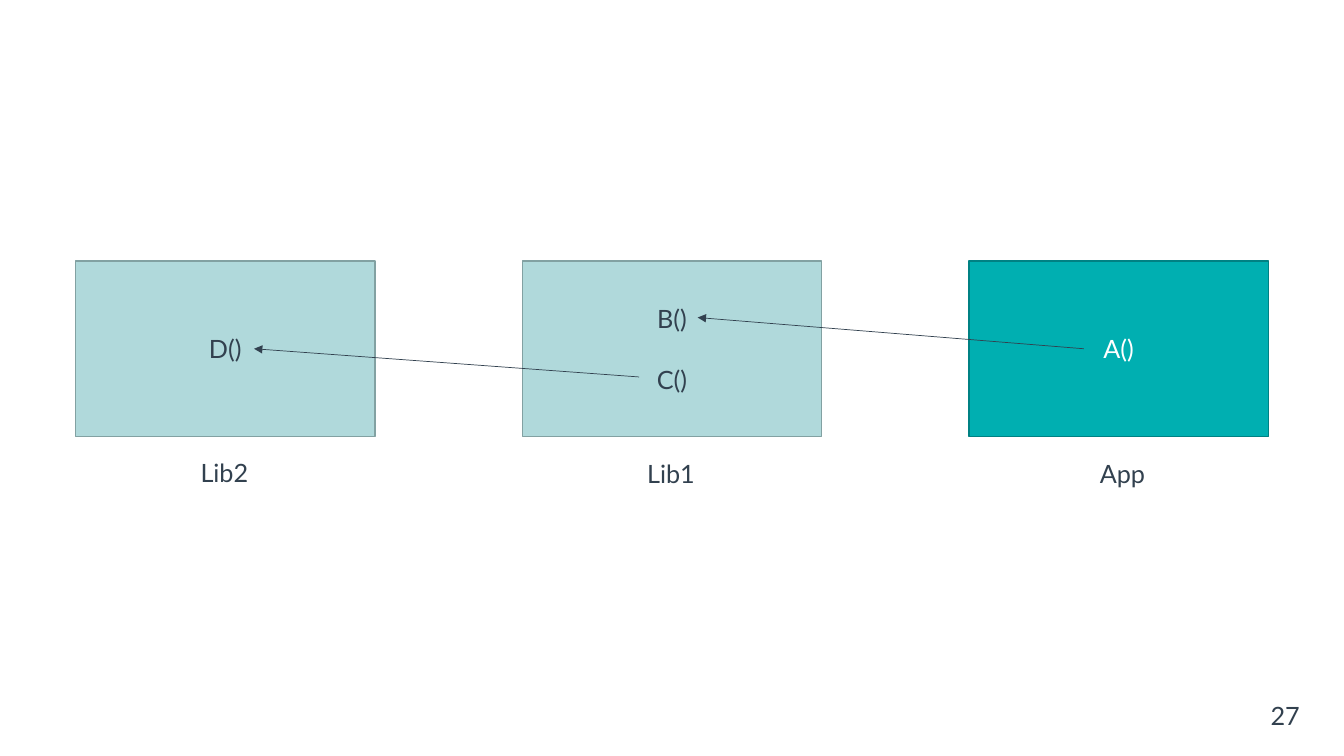
"""Build a slide of calls that run from an app through two libraries."""
from lxml import etree
from pptx import Presentation
from pptx.dml.color import RGBColor
from pptx.enum.shapes import MSO_CONNECTOR, MSO_SHAPE
from pptx.enum.text import MSO_ANCHOR, PP_ALIGN
from pptx.oxml.ns import qn
from pptx.util import Inches, Pt

RECT, LINE = MSO_SHAPE.RECTANGLE, MSO_CONNECTOR.STRAIGHT
LEFT, MID, RIGHT = PP_ALIGN.LEFT, PP_ALIGN.CENTER, PP_ALIGN.RIGHT
TOP, CENTER = MSO_ANCHOR.TOP, MSO_ANCHOR.MIDDLE

THEME = {
    "font": "Lato",
    "size": Pt(18),
    "gap": Pt(21.6),
    "ink": RGBColor.from_string("32414F"),
    "white": RGBColor.from_string("FFFFFF"),
    "pale": RGBColor.from_string("B0D9DB"),
    "rim": RGBColor.from_string("82A1A2"),
    "teal": RGBColor.from_string("00AFB1"),
    "edge": RGBColor.from_string("008183"),
}


def write(shape, lines, color, align, anchor):
    frame = shape.text_frame
    frame.word_wrap = True
    frame.vertical_anchor = anchor
    frame.text = "\n".join(lines)
    look = {"name": THEME["font"], "size": THEME["size"]}
    for i, para in enumerate(frame.paragraphs):
        para.alignment = align
        if i:
            para.space_before = THEME["gap"]
        for key, value in look.items():
            setattr(para.runs[0].font, key, value)
        para.runs[0].font.color.rgb = THEME[color]


deck = Presentation()
deck.slide_width, deck.slide_height = Inches(13.33), Inches(7.5)
slide = deck.slides.add_slide(deck.slide_layouts[6])
shapes = slide.shapes

number = shapes.add_textbox(Inches(9.99), Inches(6.9), Inches(3), Inches(0.4))
write(number, ["27"], "ink", RIGHT, CENTER)

start, step, wide, high = 0.75, 4.43, 2.97, 1.74
units = [
    ("Lib2", ["D()"], "pale", "rim", "ink", 1.14, 4.49),
    ("Lib1", ["B()", "C()"], "pale", "rim", "ink", 1.14, 4.5),
    ("App", ["A()"], "teal", "edge", "white", 1.2, 4.5),
]
for i, (name, calls, fill, line, color, shift, low) in enumerate(units):
    left = start + i * step
    box = shapes.add_shape(RECT, Inches(left), Inches(2.59), Inches(wide), Inches(high))
    box.shadow.inherit = False
    box.fill.solid()
    box.fill.fore_color.rgb = THEME[fill]
    box.line.color.rgb = THEME[line]
    box.line.width = Pt(1)
    write(box, calls, color, MID, CENTER)

    label = shapes.add_textbox(Inches(left + shift), Inches(low), Inches(0.69), Inches(0.4))
    write(label, [name], "ink", LEFT, TOP)

arrows = [
    (10.75, 3.46, 6.92, 3.15),
    (6.34, 3.74, 2.52, 3.46),
]
for ends in arrows:
    arrow = shapes.add_connector(LINE, *[Inches(end) for end in ends])
    arrow.line.color.rgb = THEME["ink"]
    arrow.line.width = Pt(0.5)
    ln = arrow._element.spPr.find(qn("a:ln"))
    etree.SubElement(ln, qn("a:tailEnd"), type="triangle")
    etree.SubElement(arrow._element.spPr, qn("a:effectLst"))

deck.save("out.pptx")
